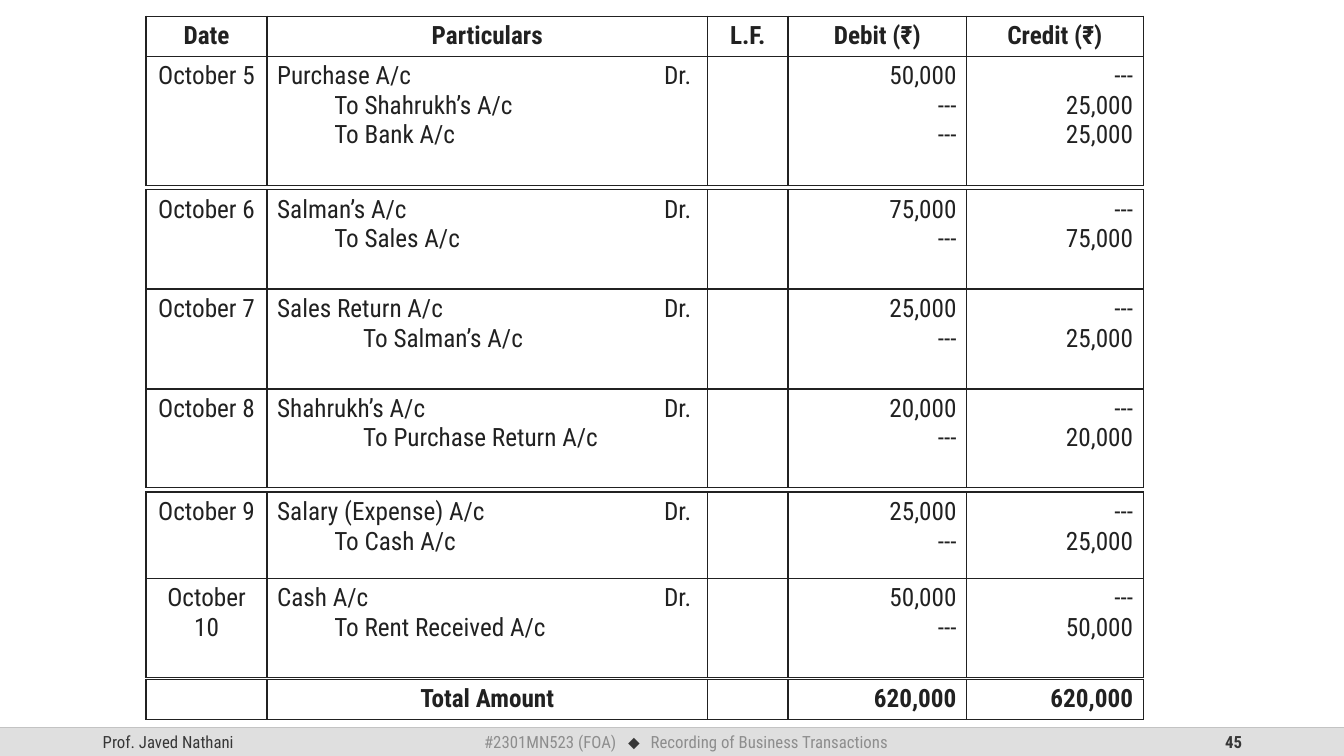
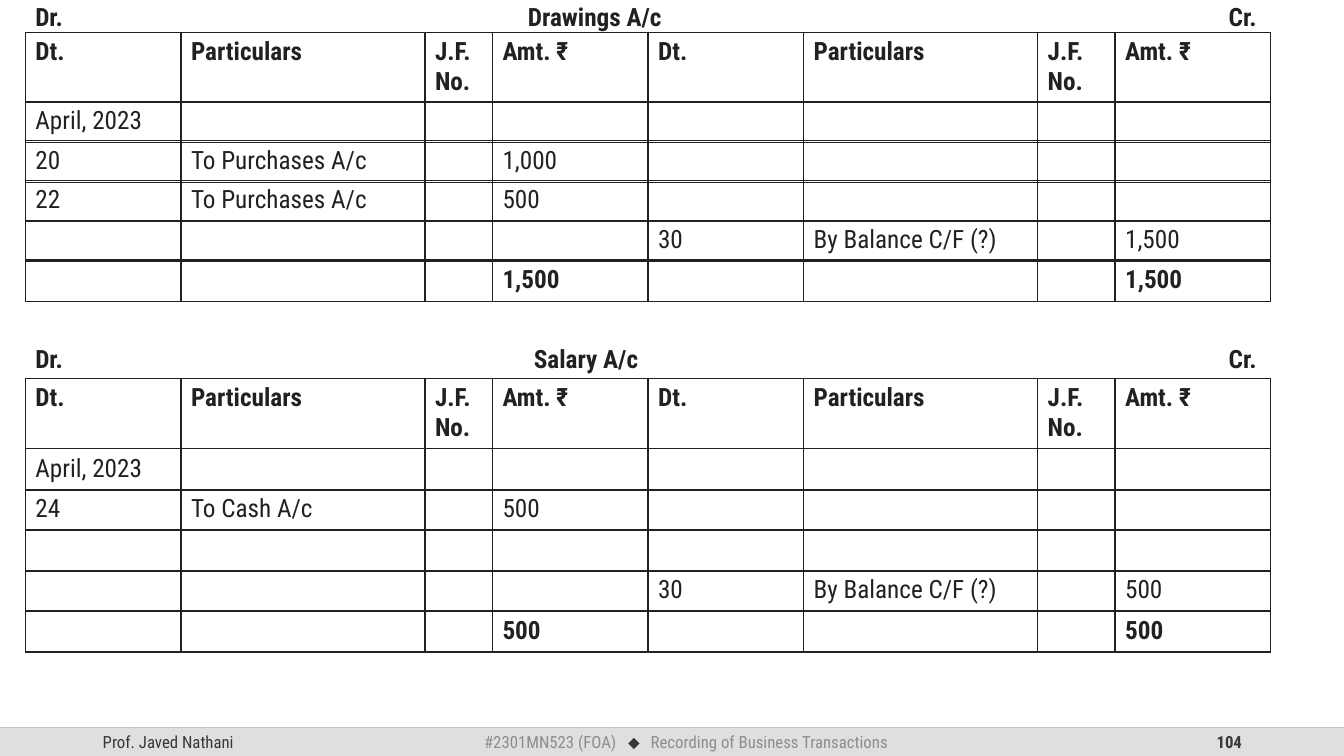
from dataclasses import dataclass

from lxml import etree
from pptx import Presentation
from pptx.dml.color import RGBColor
from pptx.enum.shapes import MSO_CONNECTOR, MSO_SHAPE
from pptx.enum.text import MSO_ANCHOR, PP_ALIGN
from pptx.oxml.ns import qn
from pptx.util import Cm, Pt

LEFT, MID, RIGHT = PP_ALIGN.LEFT, PP_ALIGN.CENTER, PP_ALIGN.RIGHT
RECT = MSO_SHAPE.RECTANGLE
LINE = MSO_CONNECTOR.STRAIGHT
CENTER = MSO_ANCHOR.MIDDLE


@dataclass(frozen=True)
class Theme:
    font: str = "Roboto Condensed"
    sign: str = "Arial"
    ink: str = "212121"
    foot: str = "373737"
    mute: str = "8D8D8D"
    band: str = "DFDFDF"
    rule: str = "BFBFBF"
    body: int = 18
    small: int = 12
    wide: float = 33.87
    high: float = 19.05
    base: float = 18.34


THEME = Theme()


def write(para, text, font=THEME.font, size=THEME.body, ink=THEME.ink,
          bold=False, align=LEFT, indent=0, tabs=()):
    para.alignment = align
    props = para._p.get_or_add_pPr()
    if indent:
        props.set("marL", str(Cm(indent)))
        props.set("indent", "0")
    if tabs:
        stops = etree.SubElement(props, qn("a:tabLst"))
        for place, kind in tabs:
            etree.SubElement(stops, qn("a:tab"), pos=str(Cm(place)), algn=kind)
    run = para.add_run()
    run.text = text
    run.font.name = font
    run.font.size = Pt(size)
    run.font.bold = bold
    run.font.color.rgb = RGBColor.from_string(ink)


class Deck:
    def __init__(self, theme):
        self.theme = theme
        self.show = Presentation()
        self.show.slide_width = Cm(theme.wide)
        self.show.slide_height = Cm(theme.high)
        self.slide = None

    def page(self, number):
        look = self.theme
        self.slide = self.show.slides.add_slide(self.show.slide_layouts[6])
        self.line(0, look.base, look.wide, look.base)
        depth = look.high - look.base
        self.block(0, look.base, look.wide, depth, look.band)
        style = {"size": look.small, "ink": look.foot}
        name = self.box(2.34, look.base, 7.62, depth)
        write(name, "Prof. Javed Nathani", **style)
        count = self.box(23.93, look.base, 7.62, depth)
        write(count, number, bold=True, align=RIGHT, **style)
        course = self.box(11.95, look.base, 12, depth)
        pale = {"size": look.small, "ink": look.mute}
        write(course, "#2301MN523 (FOA)\t",
              tabs=[(3.63, "l"), (4.2, "l")], **pale)
        write(course, "⬥\t", font=look.sign, **style)
        write(course, "Recording of Business Transactions", **pale)

    def line(self, x1, y1, x2, y2):
        link = self.slide.shapes.add_connector(
            LINE, Cm(x1), Cm(y1), Cm(x2), Cm(y2))
        link.line.color.rgb = RGBColor.from_string(self.theme.rule)
        link.line.width = Pt(1)
        etree.SubElement(link._element.spPr, qn("a:effectLst"))

    def block(self, x, y, wide, high, color):
        shape = self.slide.shapes.add_shape(
            RECT, Cm(x), Cm(y), Cm(wide), Cm(high))
        shape.shadow.inherit = False
        shape.fill.solid()
        shape.fill.fore_color.rgb = RGBColor.from_string(color)
        shape.line.fill.background()

    def box(self, x, y, wide, high):
        shape = self.slide.shapes.add_textbox(Cm(x), Cm(y), Cm(wide), Cm(high))
        frame = shape.text_frame
        frame.word_wrap = True
        frame.vertical_anchor = CENTER
        return frame.paragraphs[0]

    def edge(self, cell):
        props = cell._tc.get_or_add_tcPr()
        for place, side in enumerate(("lnL", "lnR", "lnT", "lnB")):
            line = etree.Element(qn("a:" + side), w=str(Pt(1)))
            fill = etree.SubElement(line, qn("a:solidFill"))
            etree.SubElement(fill, qn("a:srgbClr"), val=self.theme.ink)
            props.insert(place, line)

    def strip(self, x, y, high, cols, cells, aligns=None, bold=False,
              indent=0, tab=0):
        table = self.slide.shapes.add_table(
            1, len(cols), Cm(x), Cm(y), Cm(sum(cols)), Cm(high)).table
        table.first_row = table.horz_banding = False
        table.rows[0].height = Cm(high)
        aligns = aligns or [LEFT] * len(cols)
        for index, (wide, text, align) in enumerate(zip(cols, cells, aligns)):
            table.columns[index].width = Cm(wide)
            cell = table.cell(0, index)
            cell.fill.background()
            self.edge(cell)
            frame = cell.text_frame
            for row, part in enumerate(text.split("\n") if text else []):
                para = frame.add_paragraph() if row else frame.paragraphs[0]
                write(para, part, bold=bold, align=align,
                      indent=indent if row and align == LEFT else 0,
                      tabs=[(tab, "l")] if "\t" in part else ())


def journal(deck):
    deck.page("45")
    x, cols = 3.68, (3.05, 11.1, 2.03, 4.5, 4.45)
    deck.strip(x, 0.41, 0.99, cols,
               ("Date", "Particulars", "L.F.", "Debit (₹)", "Credit (₹)"),
               [MID] * 5, bold=True)
    near, deep = 1.44, 2.17
    items = (
        (1.42, 3.25, near, "October 5", "Purchase A/c",
         ("Shahrukh’s", "Bank"), "50,000", "25,000"),
        (4.78, 2.49, near, "October 6", "Salman’s A/c",
         ("Sales",), "75,000", "75,000"),
        (7.29, 2.49, deep, "October 7", "Sales Return A/c",
         ("Salman’s",), "25,000", "25,000"),
        (9.8, 2.49, deep, "October 8", "Shahrukh’s A/c",
         ("Purchase Return",), "20,000", "20,000"),
        (12.4, 2.18, near, "October 9", "Salary (Expense) A/c",
         ("Cash",), "25,000", "25,000"),
        (14.58, 2.49, near, "October 10", "Cash A/c",
         ("Rent Received",), "50,000", "50,000"),
    )
    for y, high, indent, date, debtor, others, debit, credit in items:
        lines = [debtor + "\tDr."] + [f"To {name} A/c" for name in others]
        cells = (date, "\n".join(lines), "",
                 "\n".join([debit] + ["---"] * len(others)),
                 "\n".join(["---"] + [credit] * len(others)))
        deck.strip(x, y, high, cols, cells, (MID, LEFT, LEFT, RIGHT, RIGHT),
                   indent=indent, tab=9.75)
    deck.strip(x, 17.12, 0.99, cols,
               ("", "Total Amount", "", "620,000", "620,000"),
               (MID, MID, MID, RIGHT, RIGHT), bold=True)


def ledger(deck, name, mid, top, head, first, step, debits, credits, total):
    x, left, right = 0.64, (3.92, 6.15, 1.7, 3.92), (3.92, 5.9, 1.95, 3.92)
    title = deck.box(x, top, 31.39, 1.02)
    write(title, f"Dr.\t{name}\tCr.", bold=True,
          tabs=[(mid, "ctr"), (30.78, "r")])
    labels = ("Dt.", "Particulars", "J.F.\nNo.", "Amt. ₹")
    deck.strip(x, head, 1.78, left + right, labels * 2, bold=True)
    blank = ("",) * 4
    for start, cols, rows in ((x, left, debits),
                              (x + sum(left), right, credits)):
        for index in range(4):
            deck.strip(start, first + index * step, 1.04, cols,
                       rows.get(index, blank))
        deck.strip(start, first + 4 * step, 1.04, cols,
                   ("", "", "", total), bold=True)


def main():
    deck = Deck(THEME)
    journal(deck)
    deck.page("104")
    month = ("April, 2023", "", "", "")
    ledger(deck, "Drawings A/c", 14.1, -0.1, 0.81, 2.55, 1,
           {0: month, 1: ("20", "To Purchases A/c", "", "1,000"),
            2: ("22", "To Purchases A/c", "", "500")},
           {3: ("30", "By Balance C/F (?)", "", "1,500")}, "1,500")
    ledger(deck, "Salary A/c", 13.88, 8.53, 9.53, 11.31, 1.02,
           {0: month, 1: ("24", "To Cash A/c", "", "500")},
           {3: ("30", "By Balance C/F (?)", "", "500")}, "500")
    deck.show.save("out.pptx")


if __name__ == "__main__":
    main()
